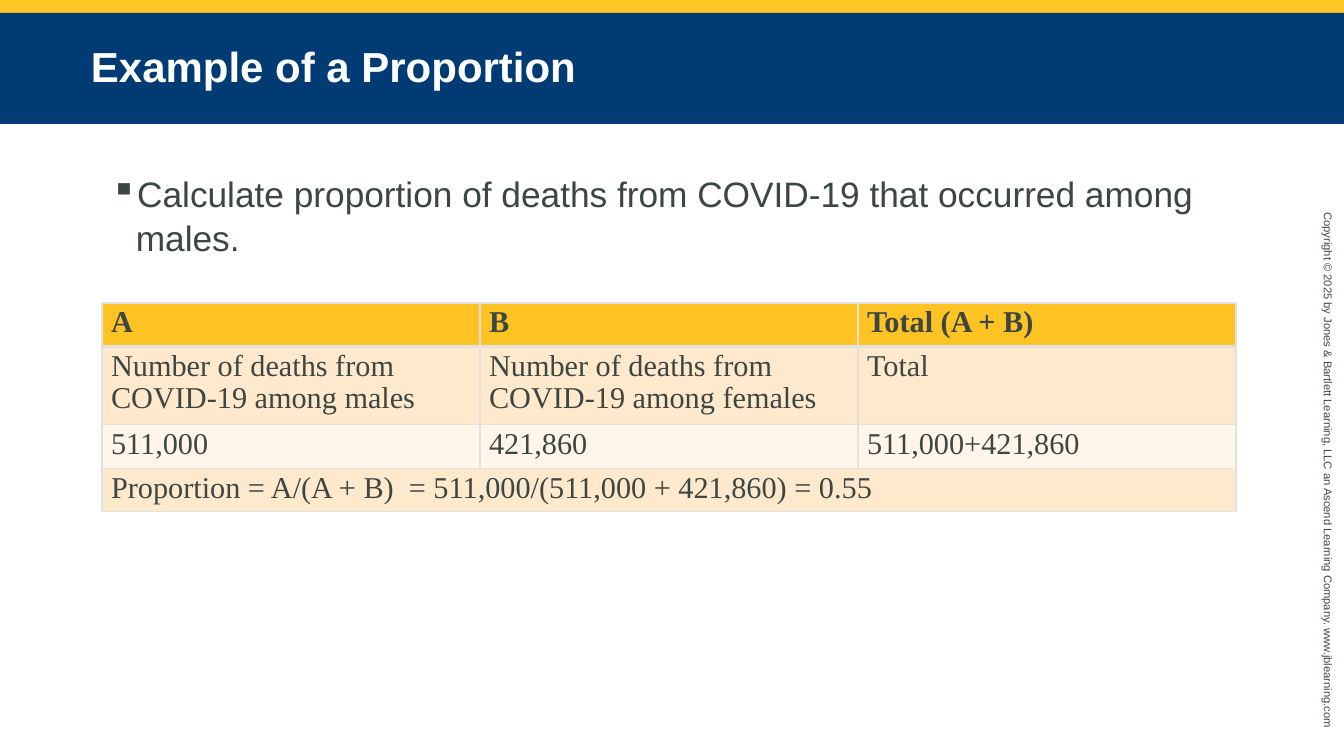
import dataclasses
import typing

import lxml.etree
import pptx
import pptx.dml.color
import pptx.enum.shapes
import pptx.enum.text
import pptx.oxml.ns
import pptx.util

EMU_PER_PX = 10080


@dataclasses.dataclass(frozen=True)
class Theme:
    gold: str = "FFC425"
    navy: str = "003B74"
    white: str = "FFFFFF"
    ink: str = "3C4743"
    rule: str = "E1E1E1"
    header: str = "FFC324"
    peach: str = "FFE9CD"
    cream: str = "FFF5E8"
    sans: str = "Arial"
    serif: str = "Times New Roman"
    title_size: float = 33.3
    body_size: float = 28
    table_size: float = 24
    copyright_size: float = 8.9


@dataclasses.dataclass(frozen=True)
class Box:
    left: int
    top: int
    width: int
    height: int

    def emu(self) -> list[int]:
        return [px(side) for side in dataclasses.astuple(self)]


@dataclasses.dataclass(frozen=True)
class Row:
    texts: tuple[str, ...]
    height: int
    fill: str
    bold: bool = False
    top_rule: int = 1
    bottom_rule: int = 1


THEME = Theme()
COLUMN_WIDTH = 378
ROWS = (
    Row(("A", "B", "Total (A + B)"), 42, THEME.header, bold=True, bottom_rule=3),
    Row(
        (
            "Number of deaths from COVID-19 among males",
            "Number of deaths from COVID-19 among females",
            "Total",
        ),
        75,
        THEME.peach,
        top_rule=3,
    ),
    Row(("511,000", "421,860", "511,000+421,860"), 43, THEME.cream),
    Row(("Proportion = A/(A + B)  = 511,000/(511,000 + 421,860) = 0.55",), 43, THEME.peach),
)


def px(length: int) -> int:
    return pptx.util.Emu(length * EMU_PER_PX)


def rgb(colour: str) -> pptx.dml.color.RGBColor:
    return pptx.dml.color.RGBColor.from_string(colour)


def write_text(
    frame: typing.Any,
    text: str,
    *,
    size: float,
    colour: str = THEME.ink,
    font: str = THEME.sans,
    bold: bool = False,
    spacing: float = 1.0,
    bullet: str = "",
    indent: int = 0,
) -> None:
    frame.word_wrap = True
    paragraph = frame.paragraphs[0]
    if bullet:
        properties = paragraph._p.get_or_add_pPr()
        properties.set("marL", str(px(indent)))
        properties.set("indent", str(-px(indent)))
        mark = lxml.etree.SubElement(properties, pptx.oxml.ns.qn("a:buChar"))
        mark.set("char", bullet)
    paragraph.alignment = pptx.enum.text.PP_ALIGN.LEFT
    paragraph.line_spacing = spacing
    run = paragraph.add_run()
    run.text = text
    run.font.name = font
    run.font.size = pptx.util.Pt(size)
    run.font.bold = bold
    run.font.color.rgb = rgb(colour)


def add_band(slide: typing.Any, box: Box, colour: str) -> typing.Any:
    band = slide.shapes.add_shape(pptx.enum.shapes.MSO_SHAPE.RECTANGLE, *box.emu())
    band.shadow.inherit = False
    band.fill.solid()
    band.fill.fore_color.rgb = rgb(colour)
    band.line.fill.background()
    return band


def rule_cell(cell: typing.Any, row: Row) -> None:
    properties = cell._tc.get_or_add_tcPr()
    widths = {"lnL": 1, "lnR": 1, "lnT": row.top_rule, "lnB": row.bottom_rule}
    for side, width in widths.items():
        line = lxml.etree.SubElement(properties, pptx.oxml.ns.qn(f"a:{side}"))
        line.set("w", str(pptx.util.Pt(width)))
        fill = lxml.etree.SubElement(line, pptx.oxml.ns.qn("a:solidFill"))
        lxml.etree.SubElement(fill, pptx.oxml.ns.qn("a:srgbClr")).set("val", THEME.rule)


def add_deaths_table(slide: typing.Any, left: int, top: int) -> None:
    columns = len(ROWS[0].texts)
    box = Box(left, top, COLUMN_WIDTH * columns, sum(row.height for row in ROWS))
    deaths = slide.shapes.add_table(len(ROWS), columns, *box.emu()).table
    deaths.first_row = False
    deaths.horz_banding = False
    for column in deaths.columns:
        column.width = px(COLUMN_WIDTH)
    for index, row in enumerate(ROWS):
        deaths.rows[index].height = px(row.height)
        if len(row.texts) == 1:
            deaths.cell(index, 0).merge(deaths.cell(index, columns - 1))
        for cell in deaths.rows[index].cells:
            rule_cell(cell, row)
            cell.fill.solid()
            cell.fill.fore_color.rgb = rgb(row.fill)
        for position, text in enumerate(row.texts):
            write_text(
                deaths.cell(index, position).text_frame,
                text,
                size=THEME.table_size,
                font=THEME.serif,
                bold=row.bold,
                spacing=0.95,
            )


def main() -> None:
    deck = pptx.Presentation()
    deck.slide_width, deck.slide_height = px(1344), px(756)
    slide = deck.slides.add_slide(deck.slide_layouts[6])

    add_band(slide, Box(0, 0, 1344, 13), THEME.gold)

    copyright_line = slide.shapes.add_textbox(*Box(1052, 468, 552, 23).emu())
    copyright_line.rotation = 90
    write_text(
        copyright_line.text_frame,
        "Copyright © 2025 by Jones & Bartlett Learning, LLC an Ascend Learning Company. www.jblearning.com",
        size=THEME.copyright_size,
    )

    title = add_band(slide, Box(0, 13, 1344, 111), THEME.navy).text_frame
    title.margin_left = title.margin_right = px(91)
    title.vertical_anchor = pptx.enum.text.MSO_ANCHOR.MIDDLE
    write_text(
        title,
        "Example of a Proportion",
        size=THEME.title_size,
        colour=THEME.white,
        bold=True,
        spacing=0.95,
    )

    task = slide.shapes.add_textbox(*Box(102, 166, 1134, 518).emu())
    write_text(
        task.text_frame,
        "Calculate proportion of deaths from COVID-19 that occurred among males.",
        size=THEME.body_size,
        spacing=1.04,
        bullet="▪",
        indent=25,
    )

    add_deaths_table(slide, 102, 303)
    deck.save("out.pptx")


if __name__ == "__main__":
    main()
